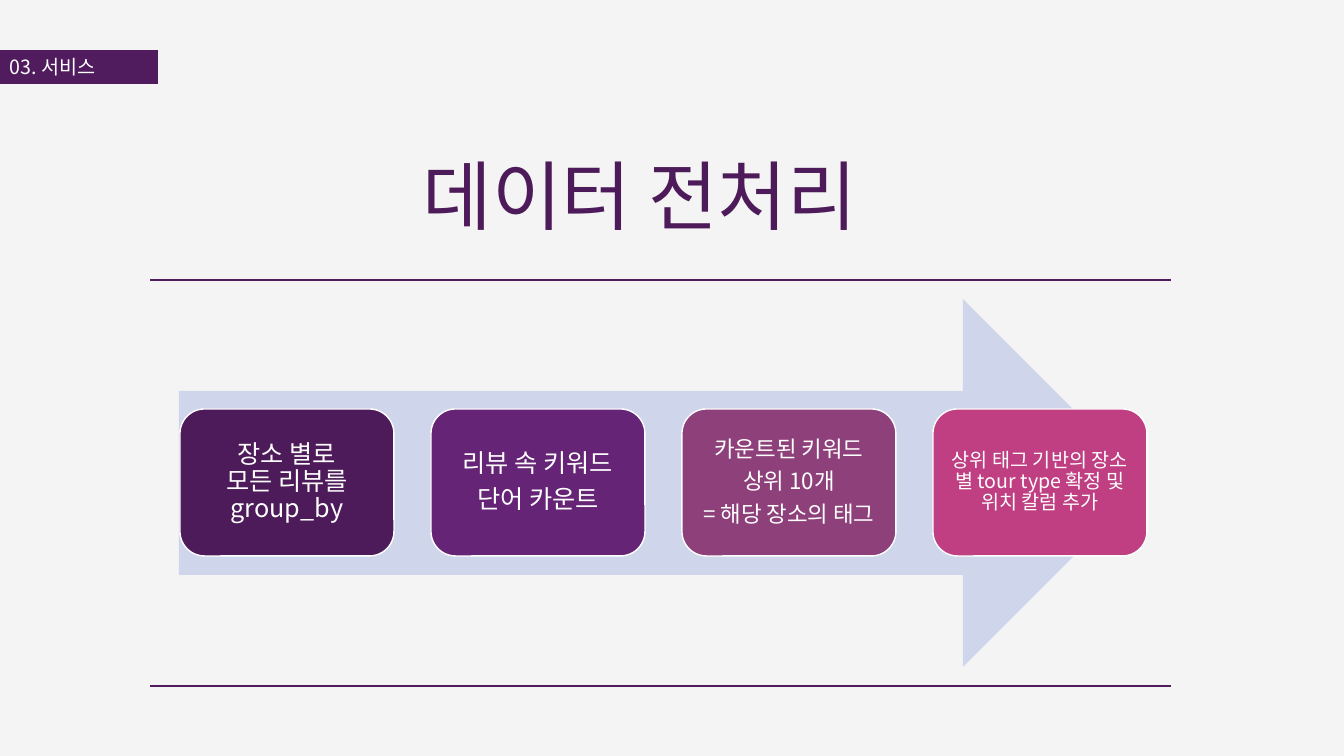
"""Build the data preprocessing slide: title, two rules and a four-step arrow."""
from lxml import etree
from pptx import Presentation, util as u
from pptx.dml.color import RGBColor
from pptx.enum import shapes, text
from pptx.oxml import ns

PX = 914400 / 100.8
THEME = {
    "font": "Noto Sans CJK KR",
    "paper": "F4F4F4", "white": "FFFFFF", "title": "4D1B59",
    "rule": "511C5D", "arrow": "CFD5EA",
    "steps": ["4D1B59", "662476", "8E407A", "BF3F82"],
    "title_size": 54, "tag_size": 14,
}
KIND = shapes.MSO_SHAPE
CENTER, LEFT = text.PP_ALIGN.CENTER, text.PP_ALIGN.LEFT


def add_box(s, kind, box, fill=None, line=None):
    """Add a preset shape, or a text box when kind is None; box is in px."""
    frame = [round(n * PX) for n in box]
    if kind is None:
        return s.shapes.add_textbox(*frame)
    sp = s.shapes.add_shape(kind, *frame)
    sp.shadow.inherit = False
    sp.fill.solid()
    sp.fill.fore_color.rgb = RGBColor.from_string(fill)
    if line:
        sp.line.color.rgb = RGBColor.from_string(line)
        sp.line.width = u.Pt(1)
    else:
        sp.line.fill.background()
    return sp


def write(sp, lines, size, color, frame=None, para=None):
    """Write one paragraph per line with the given frame and paragraph formats."""
    tf = sp.text_frame
    for name, value in {"word_wrap": True, **(frame or {})}.items():
        setattr(tf, name, value)
    for i, line in enumerate(lines):
        p = tf.paragraphs[0] if i == 0 else tf.add_paragraph()
        for name, value in (para or {}).items():
            setattr(p, name, value)
        r = p.add_run()
        r.text = line
        for name, value in {"size": u.Pt(size), "name": THEME["font"]}.items():
            setattr(r.font, name, value)
        r.font.color.rgb = RGBColor.from_string(color)
        ea = etree.SubElement(r._r.get_or_add_rPr(), ns.qn("a:ea"))
        ea.set("typeface", THEME["font"])


prs = Presentation()
prs.slide_width, prs.slide_height = round(1344 * PX), round(756 * PX)
s = prs.slides.add_slide(prs.slide_layouts[6])
s.background.fill.solid()
s.background.fill.fore_color.rgb = RGBColor.from_string(THEME["paper"])

title = add_box(s, None, (352, 144, 576, 102))
write(title, ["데이터 전처리"], THEME["title_size"], THEME["title"],
      para={"alignment": CENTER})

tag = add_box(s, KIND.RECTANGLE, (0, 50, 158, 34), THEME["rule"])
write(tag, ["03. 서비스"], THEME["tag_size"], THEME["white"],
      {"vertical_anchor": text.MSO_ANCHOR.TOP}, {"alignment": LEFT})

for y in (280, 686):
    rule = s.shapes.add_connector(
        shapes.MSO_CONNECTOR.STRAIGHT, *[round(n * PX) for n in (150, y, 1171, y)])
    rule.line.color.rgb = RGBColor.from_string(THEME["rule"])
    rule.line.width = u.Pt(1)
    etree.SubElement(rule._element.spPr, ns.qn("a:effectLst"))

add_box(s, KIND.RIGHT_ARROW, (179, 299, 968, 368), THEME["arrow"])

STEPS = [
    (["장소 별로", "모든 리뷰를 group_by"], 18, 0, 7),
    (["리뷰 속 키워드", "단어 카운트"], 18, 6, 7),
    (["카운트된 키워드", "상위 10개", "= 해당 장소의 태그"], 16, 6, 7),
    (["상위 태그 기반의 장소 별 tour type 확정 및 위치 칼럼 추가"], 14, 5, 6),
]
for i, (lines, size, after, inset) in enumerate(STEPS):
    step = add_box(s, KIND.ROUNDED_RECTANGLE, (180 + 251 * i, 409, 214, 147),
                   THEME["steps"][i], THEME["white"])
    frame = {f"margin_{side}": round(inset * PX)
             for side in ("left", "top", "right", "bottom")}
    frame["vertical_anchor"] = text.MSO_ANCHOR.MIDDLE
    write(step, lines, size, THEME["white"], frame,
          {"alignment": CENTER, "line_spacing": 0.9, "space_after": u.Pt(after)})

prs.save("out.pptx")
